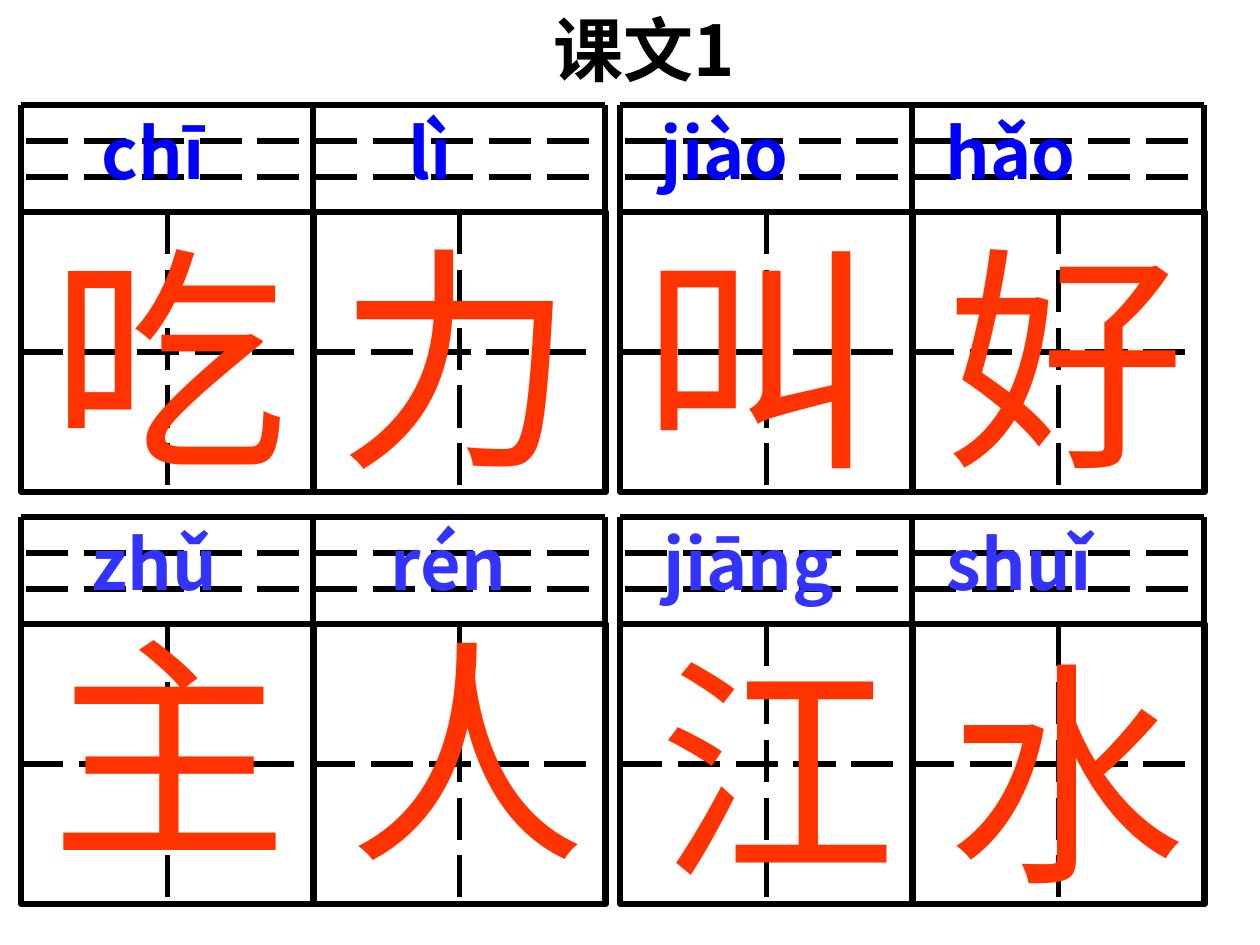
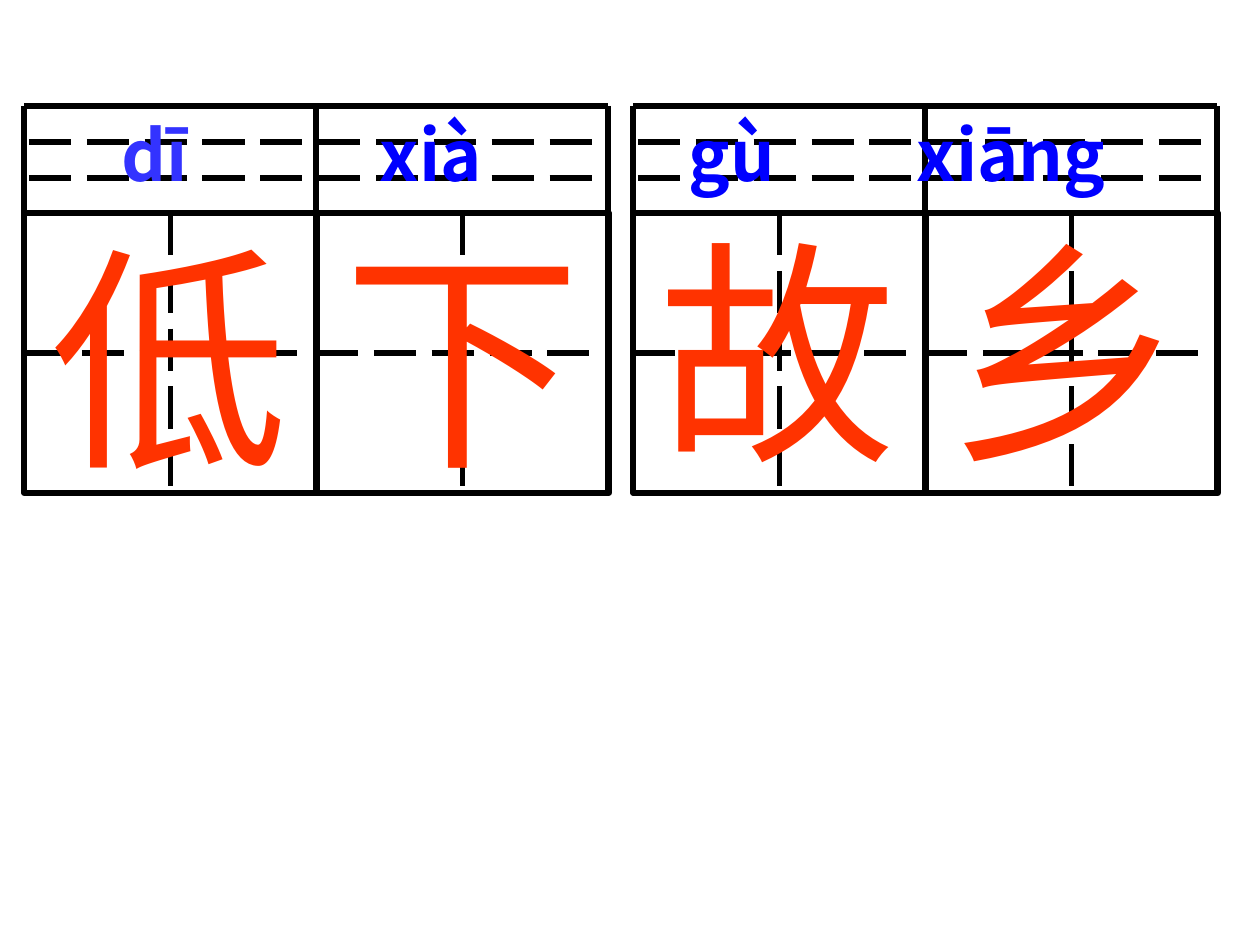
from lxml import etree
from pptx import Presentation
from pptx.dml.color import RGBColor
from pptx.enum.dml import MSO_LINE
from pptx.enum.shapes import MSO_CONNECTOR, MSO_SHAPE
from pptx.enum.text import MSO_AUTO_SIZE
from pptx.oxml.ns import qn
from pptx.util import Inches, Pt

STRAIGHT = MSO_CONNECTOR.STRAIGHT
RECTANGLE = MSO_SHAPE.RECTANGLE
LONG_DASH = MSO_LINE.LONG_DASH
GROW = MSO_AUTO_SIZE.SHAPE_TO_FIT_TEXT
TOP, LEFT, BOTTOM = 0, 1, 2

PX_PER_INCH = 126
INSET = 12.6
HAN_FONT = "Noto Sans CJK SC"
LATIN_FONT = "Arial"
BLACK, RED, BLUE, SOFT_BLUE = "000000", "FF3300", "0000FF", "3333FF"

CELL_WIDTH, CELL_HEIGHT = 293, 280
CELL_PITCH = 292
PINYIN_HEIGHT = 107
PINYIN_RULES = (36, 72)
BLOCK_WIDTH = 2 * CELL_PITCH
BLOCK_HEIGHT = PINYIN_HEIGHT + CELL_HEIGHT


def px(length):
    return round(length * Inches(1) / PX_PER_INCH)


def color(value):
    return RGBColor.from_string(value)


def add_line(group, x1, y1, x2, y2, dashed=False):
    line = group.shapes.add_connector(STRAIGHT, px(x1), px(y1), px(x2), px(y2))
    line.line.color.rgb = color(BLACK)
    line.line.width = Pt(3)
    if dashed:
        line.line.dash_style = LONG_DASH
    etree.SubElement(line._element.spPr, qn("a:effectLst"))
    return line


def add_cell(group, x, y):
    cell = group.shapes.add_shape(RECTANGLE, px(x), px(y), px(CELL_WIDTH), px(CELL_HEIGHT))
    cell.shadow.inherit = False
    cell.fill.background()
    cell.line.color.rgb = color(BLACK)
    cell.line.width = Pt(3)
    center_x, center_y = x + CELL_WIDTH / 2, y + CELL_HEIGHT / 2
    upright = add_line(group, center_x, y, center_x, y + CELL_HEIGHT, True)
    upright.begin_connect(cell, TOP)
    upright.end_connect(cell, BOTTOM)
    level = add_line(group, x, center_y, x + CELL_WIDTH - 6, center_y, True)
    level.begin_connect(cell, LEFT)


def add_block(page, x, y):
    group = page.shapes.add_group_shape()
    right = x + BLOCK_WIDTH
    add_line(group, x, y, right, y)
    for rule in PINYIN_RULES:
        add_line(group, x + 5, y + rule, right, y + rule, True)
    for column in range(2):
        add_cell(group, x + column * CELL_PITCH, y + PINYIN_HEIGHT)
    for column in range(3):
        edge = x + column * CELL_PITCH
        add_line(group, edge, y, edge, y + BLOCK_HEIGHT - 1)


def add_text(page, x, y, width, height, spans, size, bold=False, font=HAN_FONT, tabs=()):
    box = page.shapes.add_textbox(px(x), px(y), px(width), px(height))
    box.text_frame.word_wrap = True
    box.text_frame.auto_size = GROW
    para = box.text_frame.paragraphs[0]
    if tabs:
        tab_list = etree.SubElement(para._p.get_or_add_pPr(), qn("a:tabLst"))
        for stop in tabs:
            etree.SubElement(tab_list, qn("a:tab"), pos=str(px(stop)), algn="l")
    for text, tint in spans:
        span = para.add_run()
        span.text = text
        span.font.size = Pt(size)
        span.font.bold = bold
        span.font.name = font
        span.font.color.rgb = color(tint)
        etree.SubElement(span._r.get_or_add_rPr(), qn("a:ea"), typeface=HAN_FONT)


def add_character(page, character, x, y, font=LATIN_FONT):
    add_text(page, x, y, 288, 299, [(character, RED)], 136, font=font)


def add_pinyin(page, x, y, width, syllables):
    spans = [("\t" + syllable, tint) for syllable, start, tint in syllables]
    tabs = [start - x - INSET for syllable, start, tint in syllables]
    add_text(page, x, y, width, 97, spans, 40, True, tabs=tabs)


def build_first_page(page):
    for y in (105, 517):
        for x in (21, 620):
            add_block(page, x, y)
    add_text(page, 541, 0, 318, 97, [("课文1", BLACK)], 40, True)
    for character, x in (("吃", 38), ("力", 325), ("叫", 626), ("好", 935)):
        add_character(page, character, x, 205)
    add_character(page, "主", 38, 595, HAN_FONT)
    add_character(page, "人", 336, 598, HAN_FONT)
    add_character(page, "江", 646, 615)
    add_character(page, "水", 935, 620)
    add_pinyin(page, 10, 103, 1207, [
        ("chī", 102, BLUE), ("lì", 409, BLUE), ("jiào", 661, BLUE), ("hǎo", 946, BLUE)])
    add_pinyin(page, 0, 514, 1255, [
        ("zhǔ", 92, SOFT_BLUE), ("rén", 391, SOFT_BLUE),
        ("jiāng", 664, SOFT_BLUE), ("shuǐ", 947, SOFT_BLUE)])


def build_second_page(page):
    for x in (24, 633):
        add_block(page, x, 106)
    for character, x, y in (("低", 38, 205), ("下", 331, 205), ("故", 646, 199), ("乡", 935, 199)):
        add_character(page, character, x, y)
    add_pinyin(page, 15, 105, 1255, [
        ("dī", 122, SOFT_BLUE), ("xià", 380, BLUE), ("gù", 689, BLUE), ("xiāng", 917, BLUE)])


def main():
    deck = Presentation()
    deck.slide_width = px(1260)
    deck.slide_height = px(945)
    blank = deck.slide_layouts[6]
    for build_page in (build_first_page, build_second_page):
        build_page(deck.slides.add_slide(blank))
    deck.save("out.pptx")


if __name__ == "__main__":
    main()
